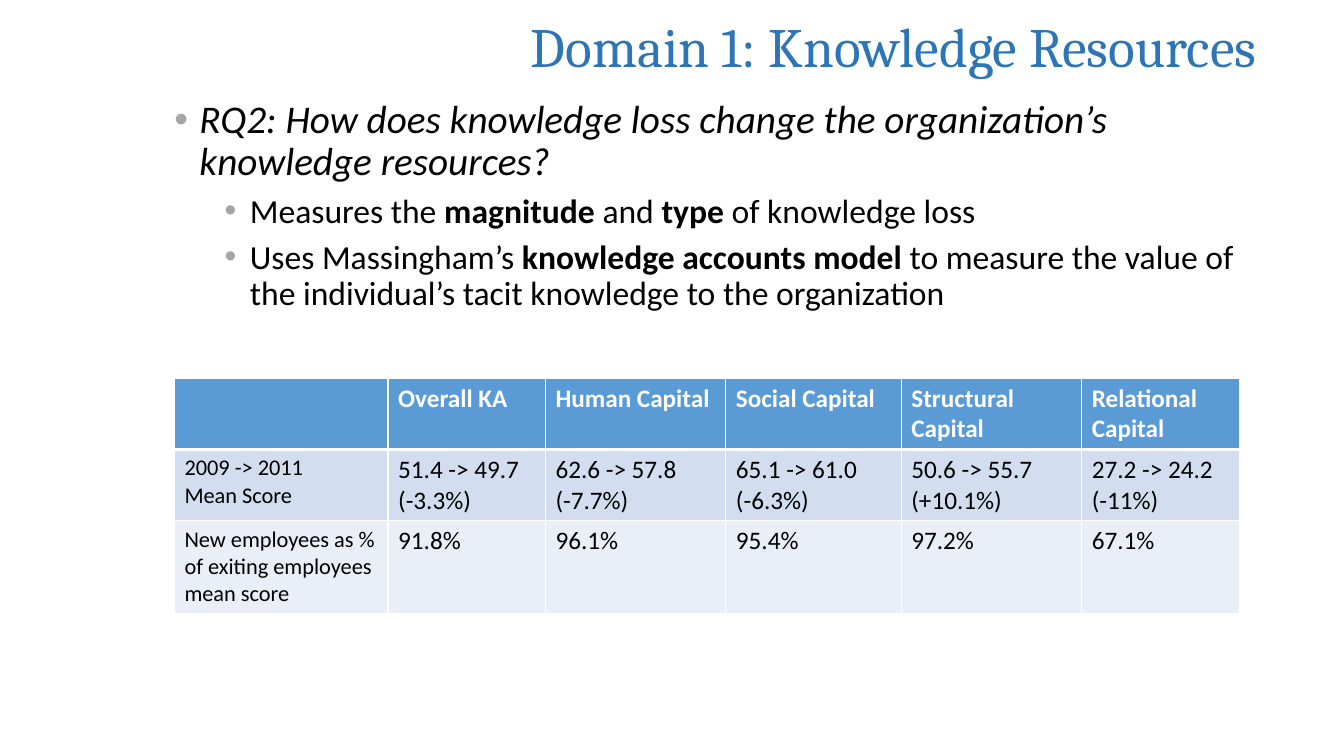
from dataclasses import dataclass

from lxml import etree
from pptx import Presentation
from pptx import util as u
from pptx.dml.color import RGBColor
from pptx.enum import text
from pptx.oxml import ns

Pt = u.Pt
BLACK, WHITE, TITLE_BLUE, BULLET_GREY = "000000", "FFFFFF", "2E75B6", "A5A5A5"
HEADER_FILL = "5B9BD5"


@dataclass(frozen=True)
class Bullet:
    phrases: tuple[str, ...]  # regular and bold phrases alternate
    size: float
    indent: float
    level: int = 0
    space_before: float = 0
    italic: bool = False


@dataclass(frozen=True)
class Row:
    cells: tuple[str, ...]
    height: float
    fill: str
    color: str = BLACK
    label_size: float = 16
    bold: bool = False


BULLETS = (
    Bullet(("RQ2: How does knowledge loss change the organization’s knowledge resources?",),
           28, 18, italic=True),
    Bullet(("Measures the ", "magnitude ", "and ", "type ", "of knowledge loss"),
           24, 54, 1, 7),
    Bullet(("Uses Massingham’s ", "knowledge accounts model ",
            "to measure the value of the individual’s tacit knowledge to the organization"),
           24, 54, 1, 7),
)
ROWS = (
    Row(("", "Overall KA", "Human Capital", "Social Capital", "Structural Capital",
         "Relational Capital"), 51, HEADER_FILL, WHITE, 18, True),
    Row(("2009 -> 2011\nMean Score", "51.4 -> 49.7\n(-3.3%)", "62.6 -> 57.8\n(-7.7%)",
         "65.1 -> 61.0\n(-6.3%)", "50.6 -> 55.7\n(+10.1%)", "27.2 -> 24.2\n(-11%)"),
        51, "D2DEEF"),
    Row(("New employees as % of exiting employees mean score", "91.8%", "96.1%", "95.4%",
         "97.2%", "67.1%"), 66, "EAEFF7"),
)
COLUMN_WIDTHS = (152.6, 112.4, 128.9, 125.3, 128.9, 113)


def rgb(value: str) -> RGBColor:
    return RGBColor.from_string(value)


def set_font(font, color: str, **formats) -> None:
    for name, value in formats.items():
        setattr(font, name, value)
    font.color.rgb = rgb(color)


def add_text_frame(s, left: float, top: float, width: float, height: float, anchor):
    tf = s.shapes.add_textbox(Pt(left), Pt(top), Pt(width), Pt(height)).text_frame
    tf.word_wrap = True
    tf.vertical_anchor = anchor
    return tf


def add_bullet(p, bullet: Bullet) -> None:
    p.level = bullet.level
    pPr = p._p.get_or_add_pPr()
    pPr.set("marL", str(Pt(bullet.indent)))
    pPr.set("indent", str(-Pt(18)))
    color = etree.SubElement(pPr, ns.qn("a:buClr"))
    etree.SubElement(color, ns.qn("a:srgbClr"), val=BULLET_GREY)
    etree.SubElement(pPr, ns.qn("a:buFont"), typeface="Arial")
    etree.SubElement(pPr, ns.qn("a:buChar"), char="•")
    p.line_spacing = 0.9
    p.space_before = Pt(bullet.space_before)
    for i, phrase in enumerate(bullet.phrases):
        r = p.add_run()
        r.text = phrase
        set_font(r.font, BLACK, name="Calibri", size=Pt(bullet.size),
                 bold=i % 2 == 1, italic=bullet.italic)


def add_borders(cell, widths: dict[str, float]) -> None:
    tcPr = cell._tc.get_or_add_tcPr()
    for side, width in widths.items():
        line = etree.SubElement(tcPr, ns.qn(f"a:ln{side}"), w=str(Pt(width)))
        fill = etree.SubElement(line, ns.qn("a:solidFill"))
        etree.SubElement(fill, ns.qn("a:srgbClr"), val=WHITE)


def add_score_table(s) -> None:
    table = s.shapes.add_table(len(ROWS), len(COLUMN_WIDTHS), Pt(124.6), Pt(270),
                               Pt(sum(COLUMN_WIDTHS)),
                               Pt(sum(row.height for row in ROWS))).table
    for column, width in zip(table.columns, COLUMN_WIDTHS):
        column.width = Pt(width)
    for i, row in enumerate(ROWS):
        table.rows[i].height = Pt(row.height)
        for j, content in enumerate(row.cells):
            cell = table.cell(i, j)
            add_borders(cell, {"L": 1, "R": 1, "T": 3 if i == 1 else 1,
                               "B": 3 if i == 0 else 1})
            cell.fill.solid()
            cell.fill.fore_color.rgb = rgb(row.fill)
            cell.text_frame.text = content
            for p in cell.text_frame.paragraphs:
                size = row.label_size if j == 0 else 18
                for r in p.runs:
                    set_font(r.font, row.color, name="Calibri", size=Pt(size), bold=row.bold)


def main() -> None:
    prs = Presentation()
    prs.slide_width, prs.slide_height = Pt(960), Pt(540)
    s = prs.slides.add_slide(prs.slide_layouts[6])

    title = add_text_frame(s, 372.2, 10, 588, 51, text.MSO_ANCHOR.MIDDLE)
    r = title.paragraphs[0].add_run()
    r.text = "Domain 1: Knowledge Resources"
    title.paragraphs[0].line_spacing = 0.9
    set_font(r.font, TITLE_BLUE, name="Cambria", size=Pt(39.6))

    body = add_text_frame(s, 117.4, 67.7, 777, 419, text.MSO_ANCHOR.TOP)
    for i, bullet in enumerate(BULLETS):
        add_bullet(body.add_paragraph() if i else body.paragraphs[0], bullet)

    add_score_table(s)
    prs.save("out.pptx")


if __name__ == "__main__":
    main()
